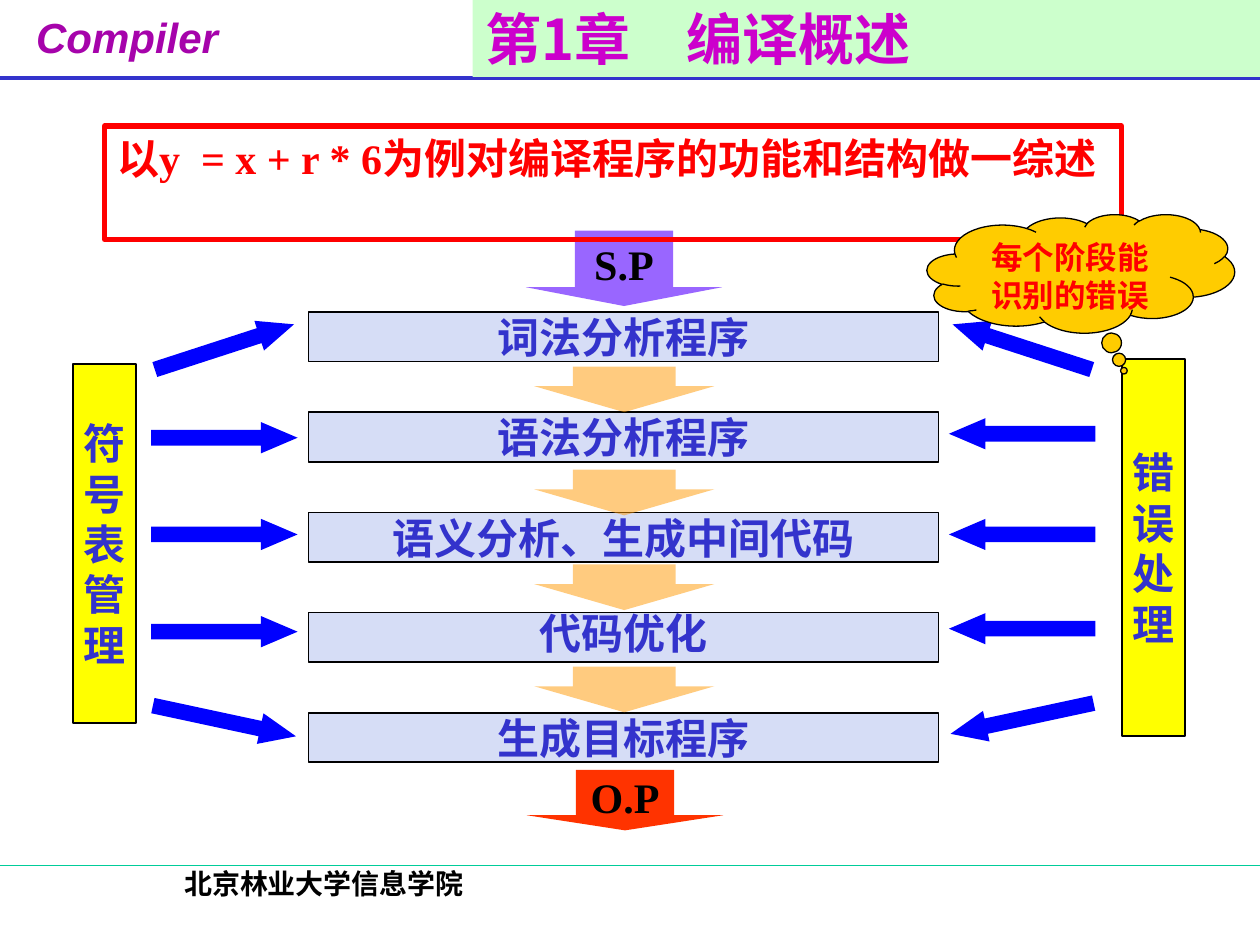
import pptx
import pptx.dml.color
import pptx.enum.shapes
import pptx.enum.text
import pptx.oxml
import pptx.oxml.ns
import pptx.util

Cm = pptx.util.Cm
Pt = pptx.util.Pt
SHAPE = pptx.enum.shapes.MSO_SHAPE
ALIGN = pptx.enum.text.PP_ALIGN
ANCHOR = pptx.enum.text.MSO_ANCHOR
CJK = "Noto Sans CJK SC"
SERIF = "Times New Roman"
COLORS = {
    "black": "000000", "blue": "0000FF", "indigo": "3333CC", "teal": "00CC99",
    "purple": "A603AB", "magenta": "CC00CC", "violet": "9966FF", "red": "FF0000",
    "vermilion": "FF3300", "orange": "FF9900", "gold": "FFCC00",
    "yellow": "FFFF00", "pale_blue": "D6DDF6", "pale_green": "CCFFCC",
}


def color(name):
    """Return the named colour."""
    return pptx.dml.color.RGBColor.from_string(COLORS[name])


def drawing_element(parent, tag, **attributes):
    """Append a DrawingML element to a parent."""
    element = pptx.oxml.parse_xml(f"<a:{tag} {pptx.oxml.ns.nsdecls('a')}/>")
    for key, value in attributes.items():
        element.set(key, value)
    parent.append(element)


def write_text(shape, text, size=24, font=CJK, ink="indigo", italic=False,
               align=ALIGN.CENTER, anchor=ANCHOR.MIDDLE, wrap=False, spacing=None):
    """Fill a shape with bold text, one paragraph per line."""
    frame = shape.text_frame
    frame.word_wrap = wrap
    frame.vertical_anchor = anchor
    frame.text = text
    for paragraph in frame.paragraphs:
        paragraph.alignment = align
        paragraph.line_spacing = spacing
        run = paragraph.runs[0]
        run.font.name = font
        run.font.size = Pt(size)
        run.font.bold = True
        run.font.italic = italic
        run.font.color.rgb = color(ink)
        drawing_element(run.font._element, "ea", typeface=CJK)


class SlideBuilder:
    """Draws styled elements on the current slide."""

    def __init__(self, slide):
        self.slide = slide

    def shape(self, kind, left, top, width, height, fill=None, line=None,
              line_width=1, adjust=(), rotation=0, alpha=None):
        """Add a preset shape."""
        shape = self.slide.shapes.add_shape(kind, Cm(left), Cm(top), Cm(width), Cm(height))
        shape.shadow.inherit = False
        shape.rotation = rotation
        for index, value in enumerate(adjust):
            shape.adjustments[index] = value
        if fill:
            shape.fill.solid()
            shape.fill.fore_color.rgb = color(fill)
        else:
            shape.fill.background()
        if line:
            shape.line.color.rgb = color(line)
            shape.line.width = Pt(line_width)
        else:
            shape.line.fill.background()
        if alpha:
            solid = shape._element.spPr.find(pptx.oxml.ns.qn("a:solidFill"))
            drawing_element(solid[0], "alpha", val=str(alpha * 1000))
        return shape

    def label(self, text, left, top, width, height, **text_format):
        """Add a text box."""
        box = self.slide.shapes.add_textbox(Cm(left), Cm(top), Cm(width), Cm(height))
        write_text(box, text, anchor=ANCHOR.TOP, **text_format)

    def rule(self, top, ink, width):
        """Add a horizontal line across the slide."""
        line = self.slide.shapes.add_connector(
            pptx.enum.shapes.MSO_CONNECTOR.STRAIGHT, 0, Cm(top), Cm(25.4), Cm(top))
        line.line.color.rgb = color(ink)
        line.line.width = Pt(width)
        drawing_element(line._element.spPr, "effectLst")

    def box(self, text, left, top, width, height, fill, **text_format):
        """Add an outlined rectangle with text."""
        shape = self.shape(SHAPE.RECTANGLE, left, top, width, height, fill, "black")
        write_text(shape, text, **text_format)

    def program_arrow(self, text, left, top, height, fill):
        """Add a labelled down arrow for the input or output program."""
        arrow = self.shape(SHAPE.DOWN_ARROW, left, top, 3.96, height, fill, adjust=(0.5, 0.25))
        write_text(arrow, text, font=SERIF, ink="black")

    def side_arrows(self, kind, left, tops, rotations):
        """Add a column of arrows that point at the stages."""
        for top, rotation in zip(tops, rotations):
            self.shape(kind, left, top, 2.95, 0.63, "blue",
                       adjust=(0.5, 1.17), rotation=rotation)


def main():
    """Build the compiler overview slide."""
    presentation = pptx.Presentation()
    presentation.slide_width = Cm(25.4)
    presentation.slide_height = Cm(19.05)
    builder = SlideBuilder(presentation.slides.add_slide(presentation.slide_layouts[6]))

    builder.label("Compiler", 0.48, 0.1, 4.85, 1.57, font="Arial", ink="purple",
                  italic=True, align=ALIGN.LEFT)
    builder.rule(1.57, "indigo", 2.25)
    builder.label("北京林业大学信息学院", 1.27, 17.35, 10.52, 1.27, size=16,
                  font=SERIF, ink="black", wrap=True)
    builder.rule(17.45, "teal", 0.75)

    builder.program_arrow("S.P", 10.6, 4.65, 1.52, "violet")
    builder.program_arrow("O.P", 10.62, 15.52, 1.22, "vermilion")

    stages = ["词法分析程序", "语法分析程序", "语义分析、生成中间代码", "代码优化", "生成目标程序"]
    for row, stage in enumerate(stages):
        builder.box(stage, 6.22, 6.29 + 2.02 * row, 12.7, 1, "pale_blue",
                    spacing=0.8 if stage == "代码优化" else None)
    for top in (7.39, 9.47, 11.38, 13.44):
        builder.shape(SHAPE.DOWN_ARROW, 10.77, top, 3.63, 0.92, "orange",
                      adjust=(0.57, 0.57), alpha=50)

    builder.box("\n".join("符号表管理"), 1.48, 7.34, 1.27, 7.24, "yellow")
    builder.box("\n".join("错误处理"), 22.62, 7.24, 1.27, 7.6, "yellow")
    builder.side_arrows(SHAPE.RIGHT_ARROW, 3.05, (6.68, 8.51, 10.46, 12.42, 14.22),
                        (342, 0, 0, 0, 12.1))
    builder.side_arrows(SHAPE.LEFT_ARROW, 19.13, (6.68, 8.43, 10.46, 12.36, 14.17),
                        (18, 0, 0, 0, 347.9))

    example = builder.shape(SHAPE.RECTANGLE, 2.11, 2.54, 20.5, 2.29, line="red", line_width=3)
    write_text(example, "以y  = x + r * 6为例对编译程序的功能和结构做一综述", font=SERIF,
               ink="red", align=ALIGN.LEFT, anchor=ANCHOR.TOP, wrap=True)
    title = builder.shape(SHAPE.RECTANGLE, 9.53, 0, 15.87, 1.55, "pale_green")
    write_text(title, "第1章　编译概述", size=32, ink="magenta", align=ALIGN.LEFT, wrap=True)
    cloud = builder.shape(SHAPE.CLOUD_CALLOUT, 18.69, 4.32, 6.2, 2.39, "gold", "black",
                          0.75, adjust=(0.14, 0.82))
    write_text(cloud, "每个阶段能识别的错误", size=18, font=SERIF, ink="red",
               anchor=ANCHOR.TOP, wrap=True)
    presentation.save("out.pptx")


if __name__ == "__main__":
    main()
